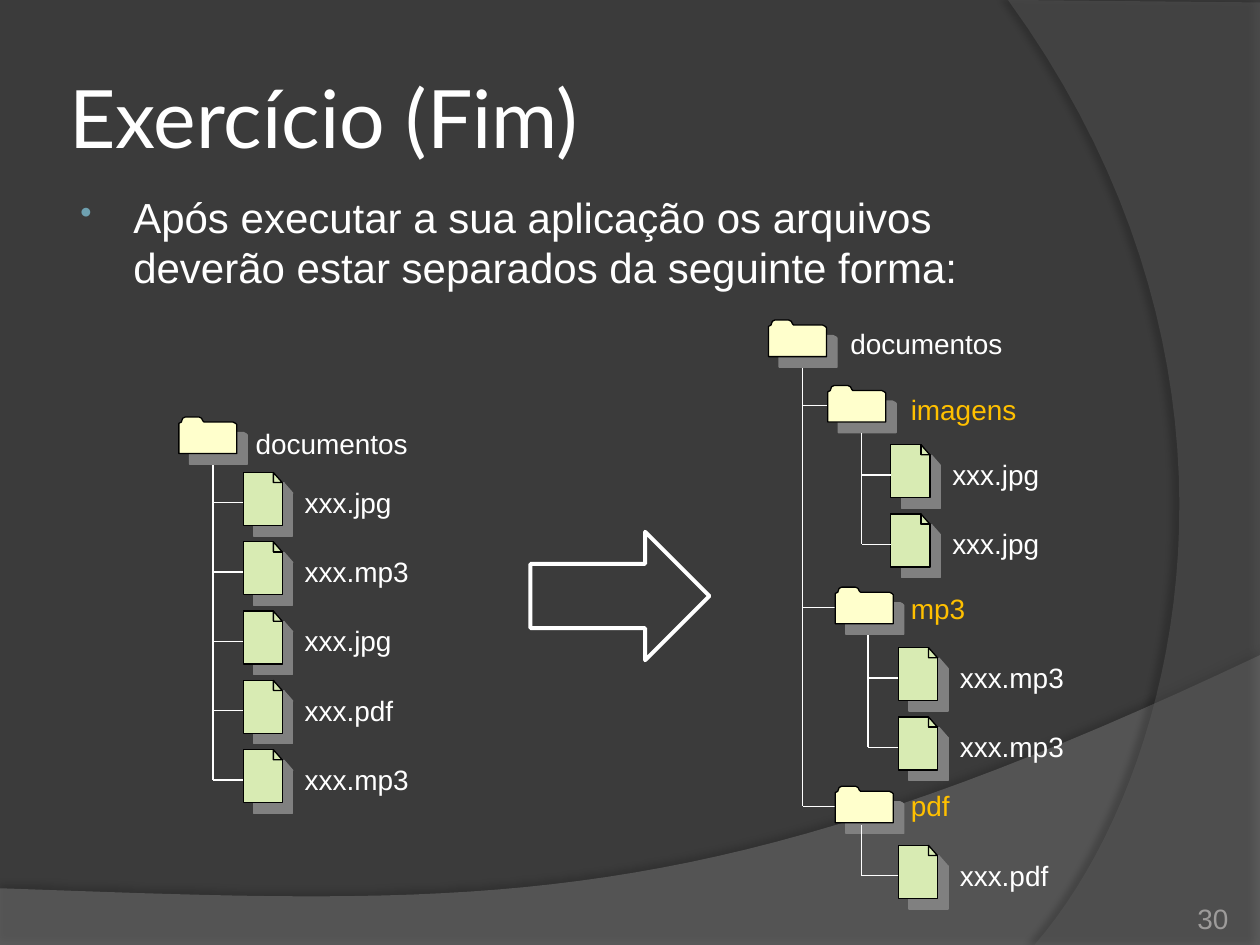
from dataclasses import dataclass

from lxml import etree
from pptx import Presentation
from pptx.dml.color import RGBColor as RGB
from pptx.enum.shapes import MSO_CONNECTOR as Connector, MSO_SHAPE as Preset
from pptx.enum.text import MSO_ANCHOR as Anchor, PP_ALIGN as Align
from pptx.oxml.ns import qn
from pptx.util import Inches, Pt


@dataclass(frozen=True)
class Theme:
    background: str = "3B3B3B"
    text: str = "FFFFFF"
    accent: str = "FFC000"
    number: str = "9D9B9A"
    bullet: str = "6EA0B0"
    folder: str = "FFFFCC"
    page: str = "D8EBB3"
    outline: str = "000000"
    shadow: str = "808080"
    lower_band: str = "7F7F7F"
    right_band: str = "5E5E5E"
    title_font: str = "Lato"
    body_font: str = "Arial"
    title_size: int = 46
    body_size: int = 24
    label_size: int = 16


@dataclass(frozen=True)
class Folder:
    name: str
    at: tuple
    label_at: tuple
    trunk_top: tuple
    first_page: tuple = (0, 0)
    files: tuple = ()
    folders: tuple = ()


THEME = Theme()

# Content
TITLE = "Exercício (Fim)"
BODY = "Após executar a sua aplicação os arquivos deverão estar separados da seguinte forma:"
NUMBER = "30"
BEFORE = Folder("documentos", (1.42, 3.31), (1.93, 3.28), (1.69, 3.69), (1.93, 3.75),
                ("xxx.jpg", "xxx.mp3", "xxx.jpg", "xxx.pdf", "xxx.mp3"))
AFTER = Folder("documentos", (6.1, 2.54), (6.65, 2.49), (6.37, 2.92), folders=(
    Folder("imagens", (6.57, 3.06), (7.13, 3.01), (6.84, 3.44), (7.07, 3.53),
           ("xxx.jpg", "xxx.jpg")),
    Folder("mp3", (6.63, 4.66), (7.13, 4.59), (6.89, 5.04), (7.13, 5.14),
           ("xxx.mp3", "xxx.mp3")),
    Folder("pdf", (6.63, 6.24), (7.13, 6.16), (6.84, 6.55), (7.13, 6.71),
           ("xxx.pdf",)),
))

# Icon outlines, relative to the icon's top left corner
FOLDER_OUTLINE = [[(0.43, 0.04), (0.2, 0.04), (0.19, 0.03), (0.18, 0.01), (0.16, 0),
                   (0.05, 0), (0.03, 0.01), (0.02, 0.04), (0, 0.05), (0, 0.29),
                   (0.46, 0.29), (0.46, 0.06), (0.45, 0.05)]]
PAGE_OUTLINE = [[(0.24, 0), (0, 0), (0, 0.42), (0.31, 0.42), (0.31, 0.08), (0.24, 0.08)],
                [(0.24, 0), (0.31, 0.08), (0.24, 0.08)]]
ICON_SHADOW = (THEME.shadow, 100, 0, 8.5, 45)
PAGE_STEP = 0.55
PAGE_JOINT = 0.24
FOLDER_JOINT = 0.16
LABEL_GAP = 0.39

presentation = Presentation()
presentation.slide_width, presentation.slide_height = Inches(10), Inches(7.5)
slide = presentation.slides.add_slide(presentation.slide_layouts[6])
slide.background.fill.solid()
slide.background.fill.fore_color.rgb = RGB.from_string(THEME.background)


def add_child(parent, tag, **attributes):
    values = {name: str(value) for name, value in attributes.items()}
    return etree.SubElement(parent, qn(tag), values)


def add_color(parent, color, opacity):
    element = add_child(parent, "a:srgbClr", val=color)
    add_child(element, "a:alpha", val=opacity * 1000)


def bezier(start, control_1, control_2, end, steps=40):
    """Points along a cubic curve."""
    points = []
    for step in range(steps + 1):
        t = step / steps
        weights = ((1 - t) ** 3, 3 * t * (1 - t) ** 2, 3 * t ** 2 * (1 - t), t ** 3)
        corners = (start, control_1, control_2, end)
        points.append(tuple(sum(w * c[axis] for w, c in zip(weights, corners))
                            for axis in (0, 1)))
    return points


def add_outline(contours, color, shadow, at=(0, 0), opacity=100, outlined=True):
    placed = [[(Inches(at[0] + x), Inches(at[1] + y)) for x, y in contour]
              for contour in contours]
    builder = slide.shapes.build_freeform(*placed[0][0])
    builder.add_line_segments(placed[0][1:], close=True)
    for contour in placed[1:]:
        builder.move_to(*contour[0])
        builder.add_line_segments(contour[1:], close=True)
    shape = builder.convert_to_shape()
    shape.fill.solid()
    shape.fill.fore_color.rgb = RGB.from_string(color)
    properties = shape.element.spPr
    if opacity < 100:
        add_child(properties.find(".//" + qn("a:srgbClr")), "a:alpha", val=opacity * 1000)
    if outlined:
        shape.line.color.rgb = RGB.from_string(THEME.outline)
        shape.line.width = Pt(0.75)
    else:
        shape.line.fill.background()
    shape.shadow.inherit = False
    shadow_color, shadow_opacity, blur, distance, angle = shadow
    outer = add_child(properties.find(qn("a:effectLst")), "a:outerShdw", blurRad=Pt(blur),
                      dist=Pt(distance), dir=angle * 60000, algn="ctr", rotWithShape=0)
    add_color(outer, shadow_color, shadow_opacity)


def add_line(start, end):
    line = slide.shapes.add_connector(Connector.STRAIGHT, *map(Inches, start + end))
    line.line.color.rgb = RGB.from_string(THEME.text)
    line.line.width = Pt(0.75)
    add_child(line.element.spPr, "a:effectLst")


def add_text(text, box, size=THEME.label_size, color=THEME.text, font=THEME.body_font,
             anchor=Anchor.MIDDLE, align=Align.LEFT, inset=(0.1, 0.05), bulleted=False):
    frame = slide.shapes.add_textbox(*map(Inches, box)).text_frame
    frame.word_wrap = True
    frame.vertical_anchor = anchor
    frame.margin_left = frame.margin_right = Inches(inset[0])
    frame.margin_top = frame.margin_bottom = Inches(inset[1])
    paragraph = frame.paragraphs[0]
    paragraph.text = text
    paragraph.alignment = align
    if bulleted:
        properties = paragraph._p.get_or_add_pPr()
        properties.set("marL", str(Inches(0.46)))
        properties.set("indent", str(Inches(-0.42)))
        add_color(add_child(properties, "a:buClr"), THEME.bullet, 100)
        add_child(properties, "a:buSzPct", val=80000)
        add_child(properties, "a:buChar", char="•")
    paragraph.font.size = Pt(size)
    paragraph.font.name = font
    paragraph.font.color.rgb = RGB.from_string(color)


def add_folder(folder, color=THEME.text):
    """Draw a folder, its trunk, its pages and the folders inside it."""
    add_outline(FOLDER_OUTLINE, THEME.folder, ICON_SHADOW, folder.at)
    add_text(folder.name, (*folder.label_at, 1.42, 0.47), color=color)
    trunk_x = folder.trunk_top[0]
    page_x, first_y = folder.first_page
    pages = [(name, first_y + index * PAGE_STEP) for index, name in enumerate(folder.files)]
    joints = [y + PAGE_JOINT for _, y in pages]
    joints += [child.at[1] + FOLDER_JOINT for child in folder.folders]
    add_line(folder.trunk_top, (trunk_x, joints[-1]))
    for name, y in pages:
        add_outline(PAGE_OUTLINE, THEME.page, ICON_SHADOW, (page_x, y))
        add_line((page_x, y + PAGE_JOINT), (trunk_x, y + PAGE_JOINT))
        add_text(name, (page_x + LABEL_GAP, y, 1.1, 0.47))
    for child in folder.folders:
        joint_y = child.at[1] + FOLDER_JOINT
        add_line((child.at[0] + 0.03, joint_y), (trunk_x, joint_y))
        add_folder(child, THEME.accent)


# Background bands
lower_curve = bezier((10, 5.2), (5.59, 7.29), (3.91, 7.19), (0, 7.05))
add_outline([[(0, 7.5), (10, 7.5)] + lower_curve], THEME.lower_band,
            ("000000", 35, 4, 3.5, 270), opacity=45, outlined=False)
right_curve = bezier((8.21, 7.5), (9.35, 6.19), (10.18, 3), (8, 0))
add_outline([[(10, 0.02), (10, 7.5)] + right_curve], THEME.right_band,
            ("000000", 45, 4, 4, 180), opacity=40, outlined=False)

# Title, body and slide number
add_text(TITLE, (0.5, 0.3, 8.17, 1.25), THEME.title_size, font=THEME.title_font,
         inset=(0.05, 0.05))
add_text(BODY, (0.5, 1.47, 8.17, 1.37), THEME.body_size, anchor=Anchor.TOP, bulleted=True)
add_text(NUMBER, (8.92, 7.02, 0.83, 0.4), color=THEME.number, anchor=Anchor.BOTTOM,
         align=Align.RIGHT, inset=(0, 0))

# Folder trees and the arrow between them
add_folder(BEFORE)
add_folder(AFTER)
arrow = slide.shapes.add_shape(Preset.RIGHT_ARROW, *map(Inches, (4.21, 4.22, 1.42, 1.02)))
arrow.fill.background()
arrow.line.color.rgb = RGB.from_string(THEME.text)
arrow.line.width = Pt(2.25)
arrow.shadow.inherit = False

presentation.save("out.pptx")
